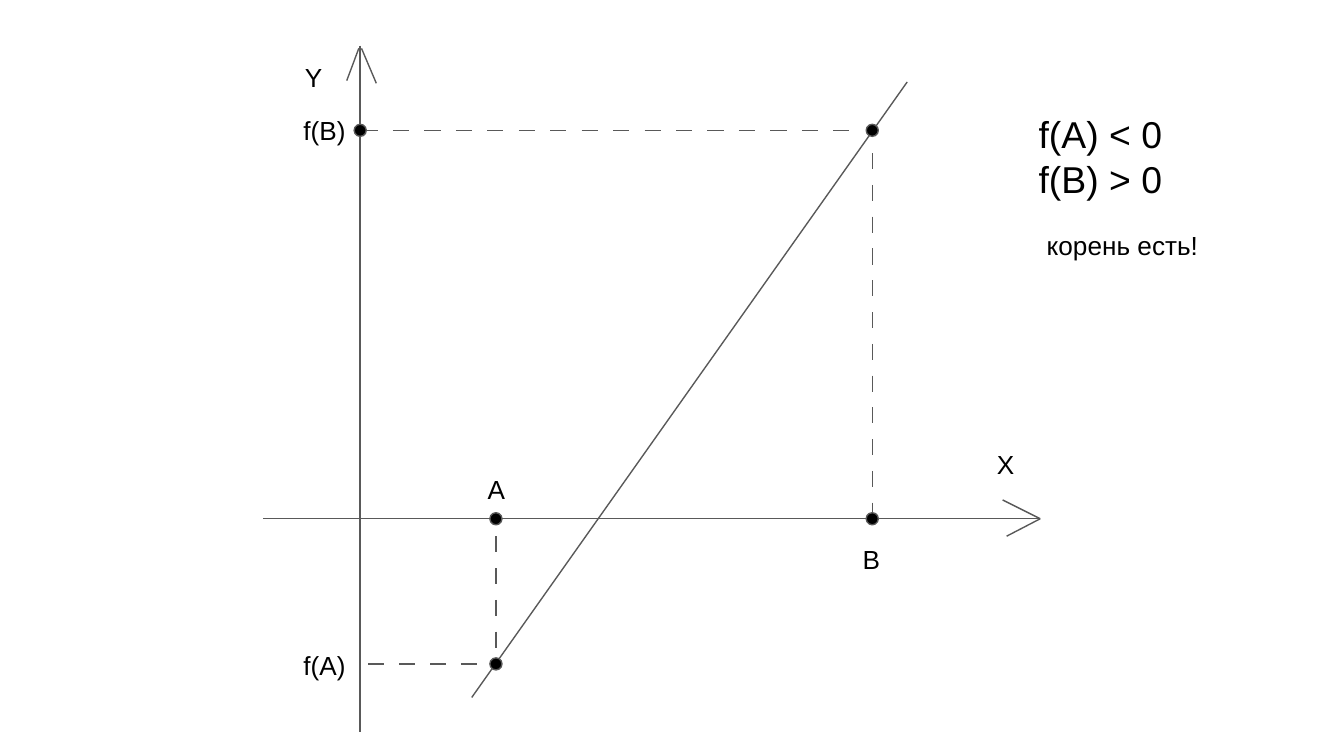
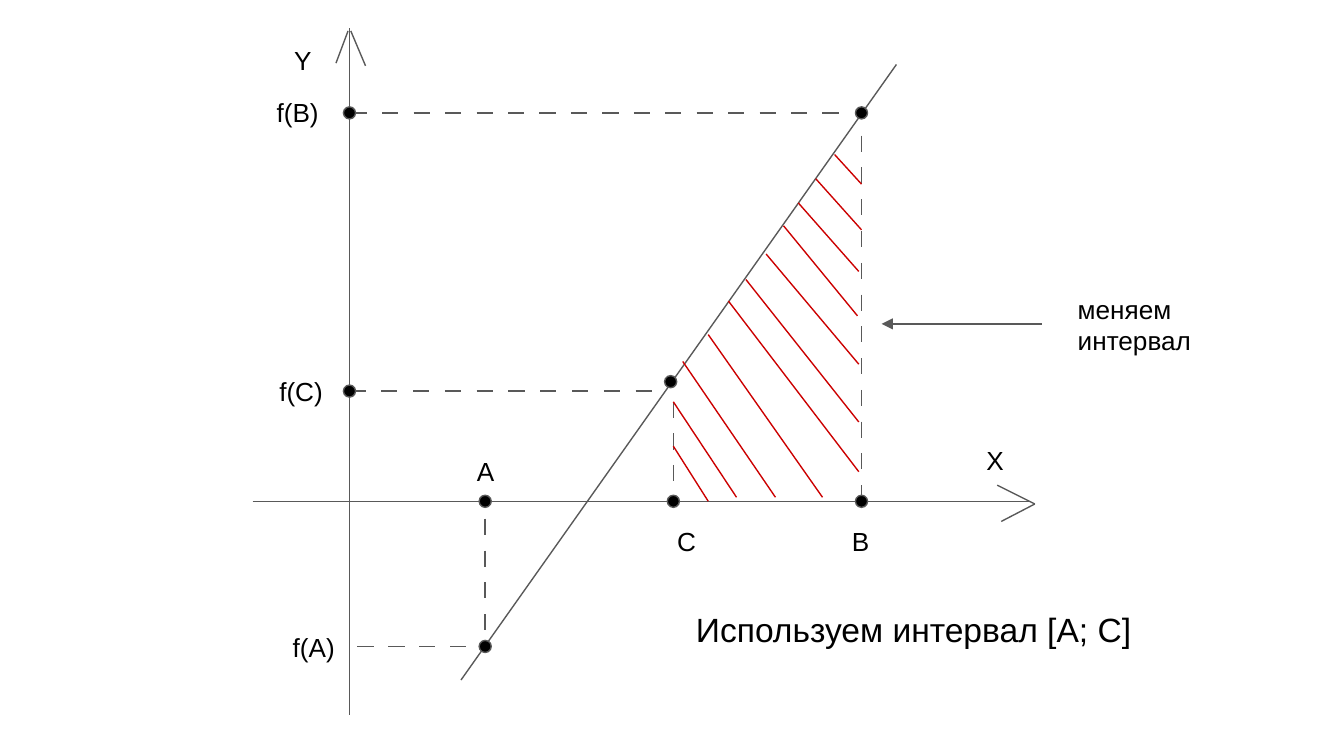
from dataclasses import dataclass

from lxml import etree
from pptx import Presentation
from pptx import util as u
from pptx.dml.color import RGBColor
from pptx.enum import shapes, text
from pptx.oxml.ns import qn


@dataclass(frozen=True)
class Theme:
    font: str = "Arial"
    ink: str = "000000"
    line: str = "595959"
    hatch: str = "CC0000"
    label: int = 14
    conclusion: int = 18
    formula: int = 20
    stroke: float = 0.75
    dash: float = 0.12
    dot: float = 0.09
    inset: float = 0.1


T = Theme()

A, B, C = 1.01, 3.81, 2.41
F_A, F_B, F_C = 1.08, -2.89, -0.82
CURVE_C = (2.39, -0.89)

HATCHES = [
    (2.41, -0.41, 2.67, 0), (2.41, -0.74, 2.88, -0.03),
    (2.48, -1.04, 3.17, -0.03), (2.67, -1.24, 3.52, -0.03),
    (2.82, -1.49, 3.79, -0.22), (2.95, -1.65, 3.79, -0.59),
    (3.1, -1.84, 3.79, -1.02), (3.23, -2.05, 3.78, -1.38),
    (3.34, -2.22, 3.79, -1.71), (3.47, -2.4, 3.81, -2.02),
    (3.61, -2.58, 3.81, -2.36),
]


class Plane:
    def __init__(self, s, left=0, top=0):
        self.s, self.left, self.top = s, left, top

    def at(self, x, y):
        return u.Inches(self.left + x), u.Inches(self.top + y)

    def line(self, x1, y1, x2, y2, color=T.line, arrow=False):
        cn = self.s.shapes.add_connector(
            shapes.MSO_CONNECTOR.STRAIGHT, *self.at(x1, y1), *self.at(x2, y2))
        cn.line.color.rgb = RGBColor.from_string(color)
        cn.line.width = u.Pt(T.stroke)
        if arrow:
            ln = cn.line._get_or_add_ln()
            etree.SubElement(ln, qn("a:tailEnd"), type="triangle")
        etree.SubElement(cn._element.spPr, qn("a:effectLst"))

    def dashes(self, x1, y1, x2, y2, count):
        across = y1 == y2
        start, end = (x1, x2) if across else (y1, y2)
        pitch = (end - start - T.dash) / (count - 1)
        for i in range(count):
            a = start + i * pitch
            b = a + T.dash
            self.line(*((a, y1, b, y1) if across else (x1, a, x1, b)))

    def dot(self, x, y):
        sp = self.s.shapes.add_shape(
            shapes.MSO_SHAPE.OVAL, *self.at(x - T.dot / 2, y - T.dot / 2),
            u.Inches(T.dot), u.Inches(T.dot))
        sp.shadow.inherit = False
        sp.fill.solid()
        sp.fill.fore_color.rgb = RGBColor.from_string(T.ink)
        sp.line.color.rgb = RGBColor.from_string(T.line)
        sp.line.width = u.Pt(T.stroke)

    def label(self, words, x, y, w=0.53, h=0.44, size=T.label):
        sp = self.s.shapes.add_textbox(*self.at(x, y), u.Inches(w), u.Inches(h))
        tf = sp.text_frame
        tf.word_wrap = True
        tf.auto_size = text.MSO_AUTO_SIZE.SHAPE_TO_FIT_TEXT
        tf.margin_left = tf.margin_right = u.Inches(T.inset)
        tf.margin_top = tf.margin_bottom = u.Inches(T.inset)
        tf.text = words
        for p in tf.paragraphs:
            for r in p.runs:
                r.font.name = T.font
                r.font.size = u.Pt(size)
                r.font.color.rgb = RGBColor.from_string(T.ink)


def draw_axes(plane, head_dx, head_dy, x_label_y):
    plane.line(0, -3.52, 0, 1.59)
    plane.line(-0.72, 0, 5.06, 0)
    plane.line(-0.01, -3.5, -0.1, -3.26)
    plane.line(0.01, -3.5, 0.12, -3.24)
    tip = (5.06 + head_dx, head_dy)
    plane.line(4.78 + head_dx, head_dy - 0.14, *tip)
    plane.line(*tip, 4.81 + head_dx, head_dy + 0.13)
    plane.label("Y", -0.51, -3.5)
    plane.label("X", 4.64, x_label_y)


def draw_function(plane, f_b_label_x):
    plane.line(0.83, 1.33, 4.07, -3.25)
    plane.dashes(A, 0.13, A, 0.96, 4)
    plane.dashes(0.06, F_A, 0.87, F_A, 4)
    plane.dashes(B, -2.72, B, 0, 12)
    plane.dashes(0.01, F_B, 3.64, F_B, 16)
    for point in [(A, F_A), (A, 0), (B, F_B), (B, 0), (0, F_B)]:
        plane.dot(*point)
    plane.label("A", 0.85, -0.44)
    plane.label("f(A)", -0.52, 0.87)
    plane.label("B", 3.64, 0.08)
    plane.label("f(B)", f_b_label_x, -3.11)


def draw_midpoint(plane):
    plane.dashes(C, -0.74, C, -0.15, 3)
    plane.dashes(0, F_C, 2.25, F_C, 10)
    for point in [(C, 0), (0, F_C), CURVE_C]:
        plane.dot(*point)
    plane.label("С", 2.34, 0.08)
    plane.label("f(C)", -0.62, -1.04)
    for hatch in HATCHES:
        plane.line(*hatch, color=T.hatch)


def root_slide(s):
    plane = Plane(s, 2.68, 3.86)
    draw_axes(plane, 0, 0, -0.62)
    draw_function(plane, -0.52)
    notes = Plane(s, 7.63, 0.73)
    notes.label("f(A) < 0\nf(B) > 0", 0, 0, 1.44, 0.88, T.formula)
    notes.label("корень есть!", 0.06, 0.88, 1.8)


def interval_slide(s):
    plane = Plane(s, 2.6, 3.73)
    draw_axes(plane, 0.04, 0.02, -0.52)
    draw_function(plane, -0.64)
    draw_midpoint(plane)
    notes = Plane(s, 6.56, 2.08)
    notes.line(1.19, 0.33, 0, 0.33, arrow=True)
    notes.label("меняем\nинтервал", 1.36, 0, 1.72, 0.67)
    notes.label("Используем интервал [A; C]", -1.48, 2.35, 3.65, 0.5, T.conclusion)


def main():
    prs = Presentation()
    prs.slide_width = u.Inches(10)
    prs.slide_height = prs.slide_width * 9 // 16
    blank = prs.slide_layouts[6]
    for build in (root_slide, interval_slide):
        build(prs.slides.add_slide(blank))
    prs.save("out.pptx")


if __name__ == "__main__":
    main()
